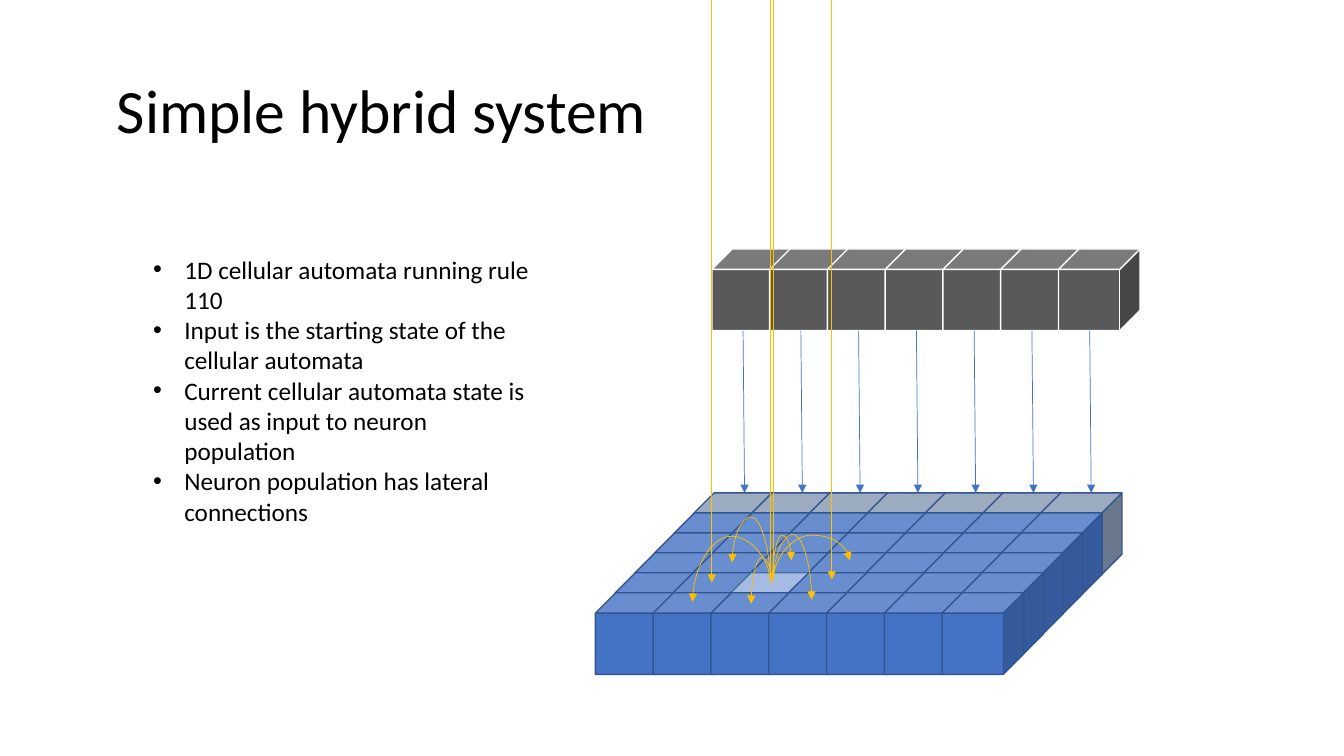
from pptx import Presentation
from pptx import util as u
from pptx.dml.color import RGBColor
from pptx.enum import shapes, text
from pptx.oxml.ns import qn
from lxml import etree

CUBE, PITCH, COLS = 0.81, 0.573, 7
BLUE, EDGE, GOLD = "4472C4", "325491", "FFC000"
TURNS = {
    (True, False): (90, True, True),
    (False, False): (270, False, True),
    (True, True): (270, True, False),
    (False, True): (270, True, True),
}


def rgb(value):
    """Turn a hex string into a colour."""
    return RGBColor.from_string(value)


def add_text(s, box, paras, size=18, anchor=text.MSO_ANCHOR.TOP, spacing=None, bullet=False):
    """Add a text box with one paragraph for each string."""
    tf = s.shapes.add_textbox(*(u.Inches(v) for v in box)).text_frame
    tf.word_wrap = True
    tf.vertical_anchor = anchor
    for i, line in enumerate(paras):
        p = tf.paragraphs[0] if i == 0 else tf.add_paragraph()
        if bullet:
            pPr = p._p.get_or_add_pPr()
            pPr.set("marL", str(u.Inches(0.31)))
            pPr.set("indent", str(-u.Inches(0.31)))
            etree.SubElement(pPr, qn("a:buFont")).set("typeface", "Arial")
            etree.SubElement(pPr, qn("a:buChar")).set("char", "•")
        if spacing:
            p.line_spacing = spacing
        r = p.add_run()
        r.text = line
        r.font.name, r.font.size = "Calibri", u.Pt(size)
        r.font.color.rgb = rgb("000000")


def add_cube(s, x, y, fill, line):
    """Add one cell as a cube."""
    sp = s.shapes.add_shape(shapes.MSO_SHAPE.CUBE, *(u.Inches(v) for v in (x, y, CUBE, CUBE)))
    sp.shadow.inherit = False
    sp.fill.solid()
    sp.fill.fore_color.rgb = rgb(fill)
    sp.line.color.rgb = rgb(line)
    sp.line.width = u.Pt(1)


def add_line(s, start, end, color, arrow=True, kind=shapes.MSO_CONNECTOR.STRAIGHT):
    """Add a thin connector, with an arrowhead at its end if asked."""
    c = s.shapes.add_connector(kind, *(u.Inches(v) for v in (*start, *end)))
    c.line.color.rgb = rgb(color)
    c.line.width = u.Pt(0.5)
    if arrow:
        etree.SubElement(c.line._get_or_add_ln(), qn("a:tailEnd")).set("type", "triangle")
    etree.SubElement(c._element.spPr, qn("a:effectLst"))
    return c


def add_arc(s, start, end, rise):
    """Add a curved arrow that leaves upward and peaks at the given rise."""
    (x1, y1), (x2, y2) = start, end
    w, h = abs(y2 - y1), abs(x2 - x1)
    x, y = (x1 + x2 - w) / 2, (y1 + y2 - h) / 2
    c = add_line(s, (x, y), (x + w, y + h), GOLD, kind=shapes.MSO_CONNECTOR.CURVE)
    down = y2 > y1
    rot, flip_h, flip_v = TURNS[x2 > x1, down]
    xfrm = c._element.spPr.find(qn("a:xfrm"))
    xfrm.set("rot", str(rot * 60000))
    xfrm.set("flipH", str(int(flip_h)))
    xfrm.set("flipV", str(int(flip_v)))
    gd = etree.SubElement(c._element.spPr.find(".//" + qn("a:avLst")), qn("a:gd"))
    gd.set("name", "adj1")
    gd.set("fmla", f"val {round((-1 if down else 1) * rise / w * 100000)}")


def automaton(s, x, y):
    """Draw the row of automaton cells and the arrows feeding the neurons."""
    for i in range(COLS):
        add_cube(s, x + i * PITCH, y, "595959", "FFFFFF")
    for i in range(COLS):
        left = x + 0.31 + i * PITCH
        add_line(s, (left, y + CUBE), (left + 0.015, y + 2.42), BLUE)


def neurons(s, x, y, rows=6):
    """Draw the neuron grid from back to front, input row first."""
    for row in range(rows):
        for col in range(COLS):
            fill, line = ("8497B0" if row == 0 else BLUE), EDGE
            if (row, col) == (4, 2):
                fill, line = "8FAADC", "43739E"
            add_cube(s, x - 0.195 * row + col * PITCH, y + 0.198 * row, fill, line)


def lateral_links(s, x, y):
    """Draw the links from the active neuron at (x, y) to its neighbours."""
    for x1, y1, x2, y2, rise in (
        (0.02, -0.03, 0.21, -0.22, 0.44),
        (0.03, -0.02, 0.79, -0.22, 0.45),
        (0.03, -0.03, 0.41, 0.17, 0.45),
        (0.02, 0, -0.19, 0.21, 0.25),
        (0, 0, -0.77, 0.19, 0.46),
        (0, 0, -0.38, -0.2, 0.65),
    ):
        add_arc(s, (x + x1, y + y1), (x + x2, y + y2), rise)
    for dx, dy, arrow in ((-0.58, 0, True), (0, 0, False), (0.03, -0.03, False), (0.61, -0.03, True)):
        add_line(s, (x + dx, 0), (x + dx, y + dy), GOLD, arrow)


def main():
    """Build the slide and save it."""
    prs = Presentation()
    prs.slide_width, prs.slide_height = u.Inches(13.33), u.Inches(7.5)
    s = prs.slides.add_slide(prs.slide_layouts[6])
    add_text(s, (1.06, 0.4, 11.36, 1.45), ["Simple hybrid system"], size=44,
             anchor=text.MSO_ANCHOR.MIDDLE, spacing=0.9)
    automaton(s, 7.06, 2.47)
    neurons(s, 6.88, 4.89)
    lateral_links(s, 7.64, 5.78)
    add_text(s, (1.42, 2.47, 4.04, 3.13), [
        "1D cellular automata running rule 110",
        "Input is the starting state of the cellular automata",
        "Current cellular automata state is used as input to neuron population",
        "Neuron population has lateral connections",
    ], bullet=True)
    prs.save("out.pptx")


if __name__ == "__main__":
    main()
